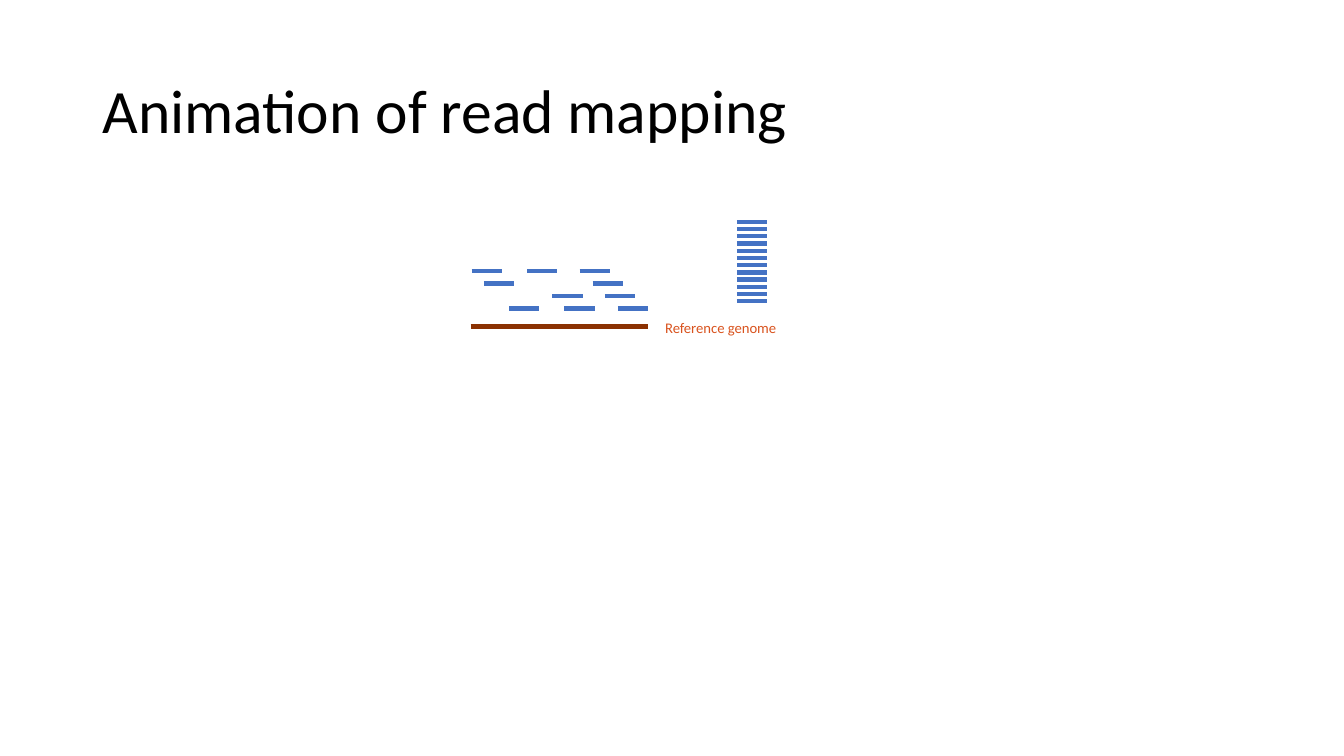
from pptx import Presentation
from pptx.dml.color import RGBColor
from pptx.enum.shapes import MSO_CONNECTOR as Connector
from pptx.enum.text import MSO_ANCHOR as Anchor, MSO_AUTO_SIZE as AutoSize, PP_ALIGN as Align
from pptx.oxml.ns import qn
from pptx.util import Pt
from lxml.etree import SubElement

EMU_PER_PX = 3048  # 300 px to the inch
READ_LENGTH = 90
READ_BLUE = "4472C4"
GENOME_BROWN = "8B3102"
LABEL_ORANGE = "D9531E"

# Unmapped reads, stacked to the right
STACK_LEFT, STACK_TOP, STACK_BOTTOM, STACK_COUNT = 2193, 660, 897, 12

# Mapped reads: left ends in each row, from top to bottom
MAPPED_ROWS = [
    [1404, 1569, 1725],
    [1440, 1764],
    [1644, 1800],
    [1515, 1680, 1839],
]
MAPPED_TOP, ROW_STEP = 807, 37


def px(length):
    return length * EMU_PER_PX


def color(value):
    return RGBColor.from_string(value)


def place(box, left, top, width, height):
    box.left, box.top, box.width, box.height = map(px, (left, top, width, height))


def set_text(box, text, size, value):
    frame = box.text_frame
    frame.text = text
    para = frame.paragraphs[0]
    para.alignment = Align.LEFT
    font = para.runs[0].font
    font.name, font.size = "Calibri", Pt(size)
    font.color.rgb = color(value)
    return para


def add_bar(page, left, top, length, value):
    bar = page.shapes.add_connector(
        Connector.STRAIGHT, px(left), px(top), px(left + length), px(top))
    bar.line.color.rgb = color(value)
    bar.line.width = Pt(3)
    SubElement(bar._element.spPr, qn("a:effectLst"))


def add_title(page, text):
    title = page.shapes.title
    place(title, 275, 120, 3450, 435)
    para = set_text(title, text, 44, "000000")
    para.line_spacing = 0.9
    title.text_frame.vertical_anchor = Anchor.MIDDLE


def add_label(page, text, left, top, width, height):
    box = page.shapes.add_textbox(*map(px, (left, top, width, height)))
    box.text_frame.word_wrap = True
    box.text_frame.auto_size = AutoSize.SHAPE_TO_FIT_TEXT
    set_text(box, text, 10.5, LABEL_ORANGE)


def main():
    deck = Presentation()
    deck.slide_width, deck.slide_height = px(4000), px(2250)
    page = deck.slides.add_slide(deck.slide_layouts.get_by_name("Title Only"))
    add_title(page, "Animation of read mapping")

    # Stack of unmapped reads
    step = (STACK_BOTTOM - STACK_TOP) / (STACK_COUNT - 1)
    for index in range(STACK_COUNT):
        top = round(STACK_TOP + index * step)
        add_bar(page, STACK_LEFT, top, READ_LENGTH, READ_BLUE)

    # Reference genome
    add_bar(page, 1401, 972, 528, GENOME_BROWN)
    add_label(page, "Reference genome", 1950, 933, 567, 84)

    # Reads mapped above the genome
    for row, lefts in enumerate(MAPPED_ROWS):
        for left in lefts:
            add_bar(page, left, MAPPED_TOP + row * ROW_STEP, READ_LENGTH, READ_BLUE)

    deck.save("out.pptx")


if __name__ == "__main__":
    main()
